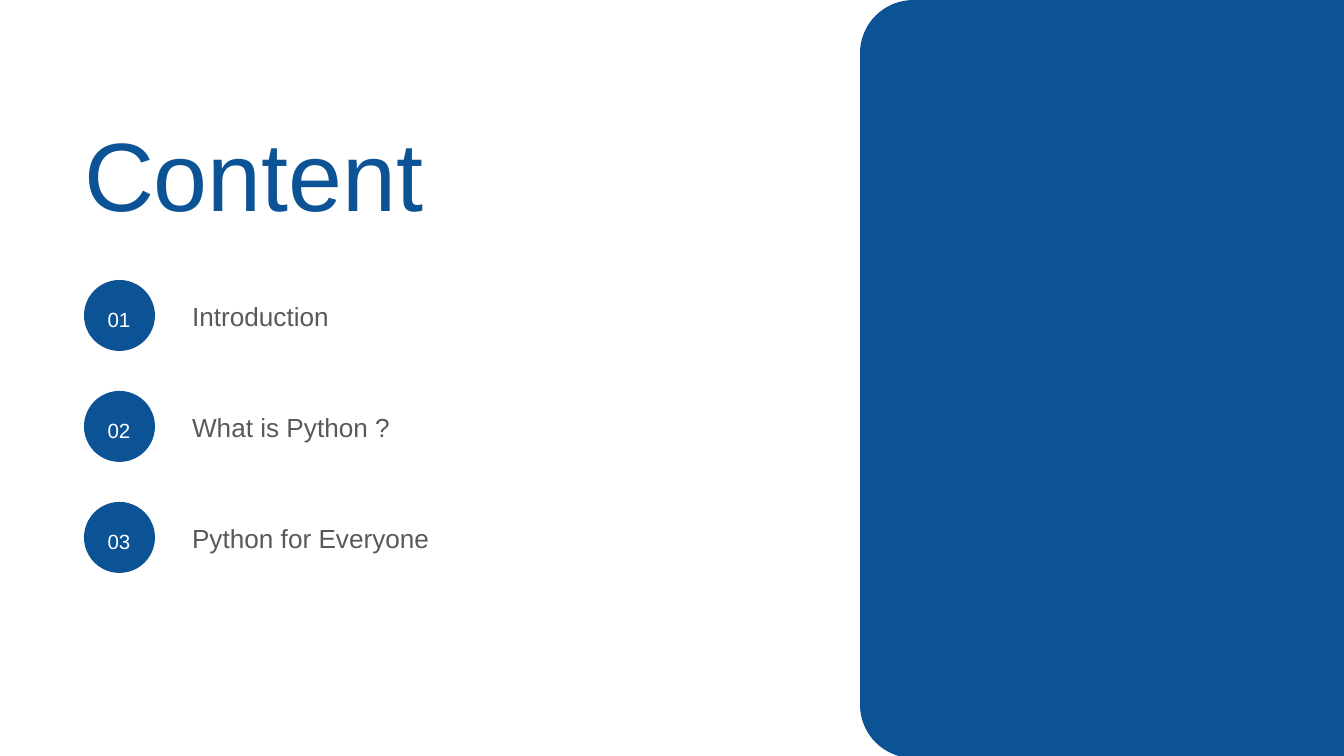
"""Build a contents slide with three numbered entries beside a blue panel."""
from pptx import Presentation
from pptx.dml.color import RGBColor
from pptx.enum.shapes import MSO_SHAPE as Shape
from pptx.enum.text import MSO_ANCHOR as Anchor, MSO_AUTO_SIZE as AutoSize, PP_ALIGN as Align
from pptx.util import Emu, Pt

PX = 914400 / 134.4
COLORS = {"blue": "0B5394", "white": "FFFFFF", "grey": "595959"}
ENTRIES = ["Introduction", "What is Python ?", "Python for Everyone"]
ROW_TOP, ROW_STEP = 280, 111


def add_blue(kind, *bounds):
    shape = slide.shapes.add_shape(kind, *[Emu(round(v * PX)) for v in bounds])
    shape.shadow.inherit = False
    shape.fill.solid()
    shape.fill.fore_color.rgb = RGBColor.from_string(COLORS["blue"])
    shape.line.fill.background()
    return shape


def write(box, text, size, color, inset=0, align=Align.LEFT, spacing=1.0):
    frame = box.text_frame
    frame.text = text
    frame.word_wrap = True
    frame.auto_size = AutoSize.NONE
    frame.vertical_anchor = Anchor.TOP
    frame.margin_left = frame.margin_right = Emu(round(inset * PX))
    frame.margin_top = frame.margin_bottom = Emu(round(inset * PX))
    para = frame.paragraphs[0]
    para.alignment = align
    para.line_spacing = spacing
    para.space_before = Pt(0)
    font = para.runs[0].font
    font.name = "Arial"
    font.size = Pt(size)
    font.color.rgb = RGBColor.from_string(COLORS[color])


deck = Presentation()
deck.slide_width, deck.slide_height = Emu(round(1344 * PX)), Emu(round(756 * PX))
slide = deck.slides.add_slide(deck.slide_layouts[5])

panel = add_blue(Shape.ROUND_2_SAME_RECTANGLE, 723, 137, 758, 484)
panel.rotation = 270
panel.adjustments[0] = 0.11
panel.adjustments[1] = 0

title = slide.shapes.title
title.left, title.top, title.width, title.height = [
    Emu(round(v * PX)) for v in (84, 91, 378, 118)
]
write(title, "Content", 52, "blue", spacing=1.2)

for index, entry in enumerate(ENTRIES):
    top = ROW_TOP + index * ROW_STEP
    add_blue(Shape.OVAL, 84, top, 71, 71)
    number = add_blue(Shape.RECTANGLE, 97, top + 22, 44, 26)
    write(number, f"{index + 1:02d}", 11, "white", align=Align.CENTER, spacing=1.2)
    label = slide.shapes.add_textbox(
        *[Emu(round(v * PX)) for v in (179, top + 7, 680, 59)]
    )
    write(label, entry, 14, "grey", inset=13)

deck.save("out.pptx")
